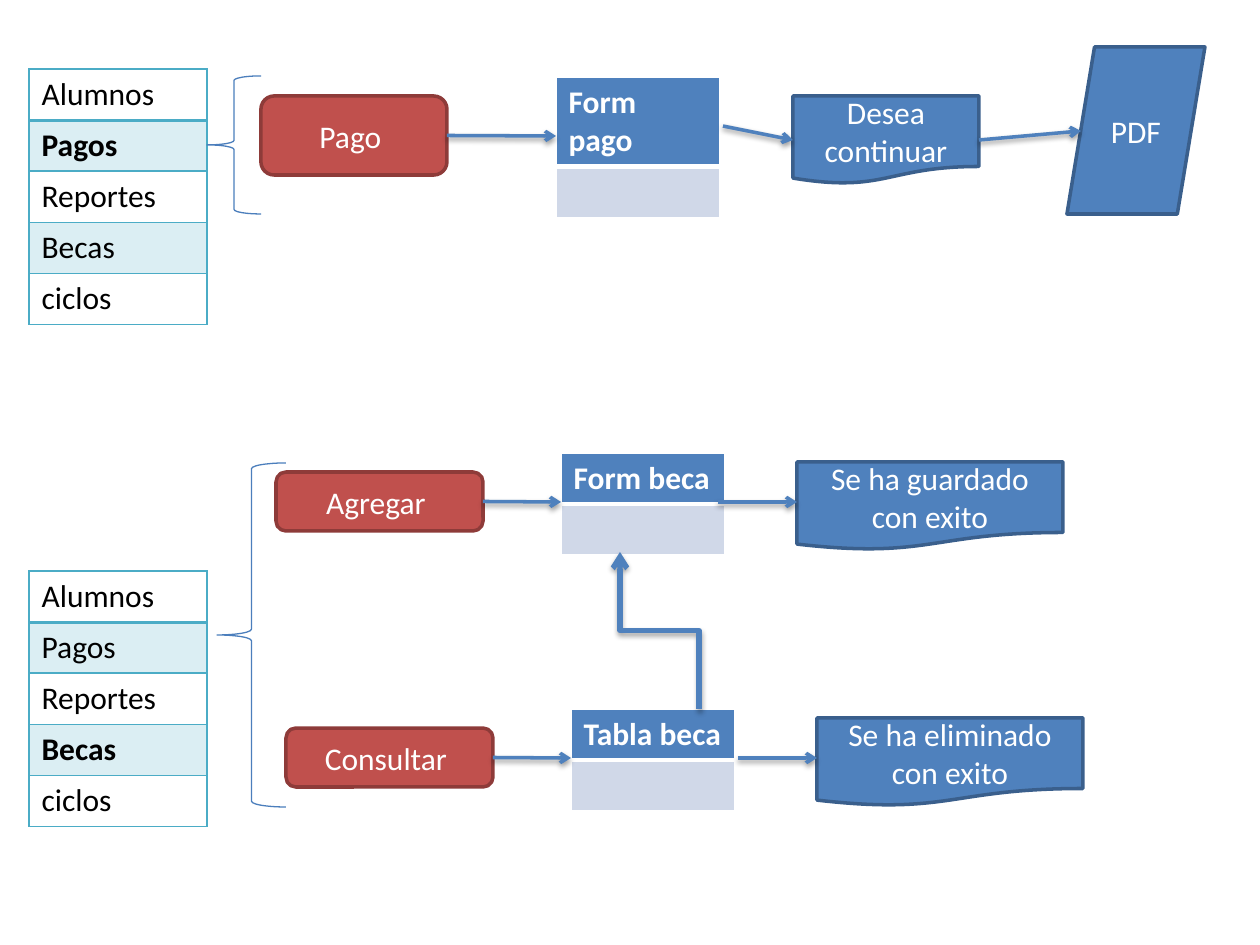
from lxml.etree import SubElement
from pptx import Presentation
from pptx.dml.color import RGBColor
from pptx.enum.shapes import MSO_CONNECTOR, MSO_SHAPE
from pptx.enum.text import MSO_ANCHOR, PP_ALIGN
from pptx.oxml.ns import qn
from pptx.util import Pt

SCALE = 914400 / 126
FONT = "Calibri"
BLACK = RGBColor(0x00, 0x00, 0x00)
WHITE = RGBColor(0xFF, 0xFF, 0xFF)
BLUE = RGBColor(0x4F, 0x81, 0xBD)
DARK_BLUE = RGBColor(0x3A, 0x5F, 0x8C)
BRACE_BLUE = RGBColor(0x4B, 0x7E, 0xBC)
PALE_BLUE = RGBColor(0xD0, 0xD8, 0xE8)
TEAL = RGBColor(0x4B, 0xAC, 0xC6)
RED = RGBColor(0xC0, 0x50, 0x4D)
DARK_RED = RGBColor(0x8E, 0x3B, 0x39)
MENU = ["Alumnos", "Pagos", "Reportes", "Becas", "ciclos"]


def px(value):
    return round(value * SCALE)


def write(frame, text, color=WHITE, bold=False, align=PP_ALIGN.LEFT):
    para = frame.paragraphs[0]
    para.alignment = align
    para.font.size = Pt(18)
    if text:
        span = para.add_run()
        span.text = text
        span.font.name = FONT
        span.font.size = Pt(18)
        span.font.bold = bold
        span.font.color.rgb = color


def set_borders(cell, color, width=1, bottom=1):
    properties = cell._tc.get_or_add_tcPr()
    for side in "LRTB":
        points = bottom if side == "B" else width
        line = SubElement(properties, qn(f"a:ln{side}"), w=str(Pt(points)))
        fill = SubElement(line, qn("a:solidFill"))
        SubElement(fill, qn("a:srgbClr"), val=str(color))


def set_fill(cell, color, opacity=100):
    cell.fill.solid()
    cell.fill.fore_color.rgb = color
    if opacity < 100:
        tint = cell._tc.tcPr.find(".//" + qn("a:solidFill") + "[last()]/" + qn("a:srgbClr"))
        for fill in cell._tc.tcPr.findall(qn("a:solidFill")):
            tint = fill.find(qn("a:srgbClr"))
        SubElement(tint, qn("a:alpha"), val=str(opacity * 1000))


class Diagram:
    def __init__(self, page):
        self.page = page

    def box(self, kind, text, left, top, width, height, fill=BLUE, edge=DARK_BLUE):
        box = self.page.shapes.add_shape(kind, px(left), px(top), px(width), px(height))
        box.shadow.inherit = False
        box.fill.solid()
        box.fill.fore_color.rgb = fill
        box.line.color.rgb = edge
        box.line.width = Pt(2)
        box.text_frame.word_wrap = True
        box.text_frame.vertical_anchor = MSO_ANCHOR.MIDDLE
        write(box.text_frame, text, align=PP_ALIGN.CENTER)
        return box

    def action(self, text, left, top, width, height):
        return self.box(MSO_SHAPE.ROUNDED_RECTANGLE, text, left, top, width, height, RED, DARK_RED)

    def message(self, text, left, top, width):
        return self.box(MSO_SHAPE.FLOWCHART_DOCUMENT, text, left, top, width, 88)

    def brace(self, left, top, width, height):
        brace = self.page.shapes.add_shape(
            MSO_SHAPE.LEFT_BRACE, px(left), px(top), px(width), px(height))
        brace.shadow.inherit = False
        brace.fill.background()
        brace.line.color.rgb = BRACE_BLUE
        brace.line.width = Pt(0.75)

    def table(self, left, top, width, row_height, rows):
        frame = self.page.shapes.add_table(
            rows, 1, px(left), px(top), px(width), px(row_height * rows))
        frame.table.first_row = False
        frame.table.horz_banding = False
        for row in frame.table.rows:
            row.height = px(row_height)
        return [row.cells[0] for row in frame.table.rows]

    def menu(self, top, selected):
        cells = self.table(29, top, 178, 51, len(MENU))
        for index, (cell, text) in enumerate(zip(cells, MENU)):
            set_borders(cell, TEAL, bottom=2 if index == 0 else 1)
            if index % 2:
                set_fill(cell, TEAL, opacity=20)
            else:
                cell.fill.background()
            write(cell.text_frame, text, color=BLACK, bold=text == selected)

    def form(self, title, left, top):
        header, body = self.table(left, top, 164, 50, 2)
        set_borders(header, WHITE, bottom=3)
        set_fill(header, BLUE)
        write(header.text_frame, title, bold=True)
        set_borders(body, WHITE)
        set_fill(body, PALE_BLUE)
        write(body.text_frame, "")

    def arrow(self, start, end, source=None, target=None, kind=MSO_CONNECTOR.STRAIGHT,
              width=2, opacity=38, distance=1.6):
        arrow = self.page.shapes.add_connector(kind, *map(px, start + end))
        if source:
            arrow.begin_connect(source, 3)
        if target:
            arrow.end_connect(target, 1)
        arrow.line.color.rgb = BLUE
        arrow.line.width = Pt(width)
        SubElement(arrow.line._get_or_add_ln(), qn("a:tailEnd"), type="arrow")
        effects = SubElement(arrow._element.spPr, qn("a:effectLst"))
        shadow = SubElement(effects, qn("a:outerShdw"), blurRad=str(Pt(3.1)),
                            dist=str(Pt(distance)), dir="5400000", rotWithShape="0")
        shade = SubElement(shadow, qn("a:srgbClr"), val=str(BLACK))
        SubElement(shade, qn("a:alpha"), val=str(opacity * 1000))
        return arrow

    def rising_elbow(self, start, end):
        center_x, center_y = (start[0] + end[0]) / 2, (start[1] + end[1]) / 2
        half_run, half_rise = (start[1] - end[1]) / 2, (start[0] - end[0]) / 2
        elbow = self.arrow(
            (center_x - half_run, center_y + half_rise),
            (center_x + half_run, center_y - half_rise),
            kind=MSO_CONNECTOR.ELBOW, width=3, opacity=35, distance=1.8)
        elbow._element.spPr.find(qn("a:xfrm")).set("rot", str(270 * 60000))


def main():
    deck = Presentation()
    deck.slide_width, deck.slide_height = px(1260), px(945)
    diagram = Diagram(deck.slides.add_slide(deck.slide_layouts[6]))

    diagram.menu(69, "Pagos")
    diagram.brace(207, 76, 54, 138)
    payment = diagram.action("Pago ", 261, 96, 186, 79)
    diagram.form("Form pago", 556, 77)
    question = diagram.message("Desea continuar", 793, 96, 186)
    diagram.box(MSO_SHAPE.FLOWCHART_DATA, "PDF", 1067, 47, 138, 167)
    diagram.arrow((447, 136), (556, 136), source=payment)
    diagram.arrow((723, 126), (793, 140), target=question)
    diagram.arrow((979, 140), (1081, 131), source=question)

    diagram.menu(571, "Becas")
    diagram.brace(217, 463, 69, 344)
    add = diagram.action("Agregar ", 276, 472, 207, 59)
    consult = diagram.action("Consultar ", 286, 728, 207, 59)
    diagram.form("Form beca", 561, 453)
    diagram.form("Tabla beca", 571, 709)
    diagram.rising_elbow((699, 709), (620, 552))
    diagram.arrow((483, 502), (561, 502), source=add)
    diagram.arrow((493, 758), (571, 758), source=consult)
    diagram.message("Se ha guardado con exito", 797, 462, 266)
    diagram.message("Se ha eliminado con exito", 817, 718, 266)
    diagram.arrow((718, 502), (797, 502))
    diagram.arrow((738, 758), (817, 758))

    deck.save("out.pptx")


if __name__ == "__main__":
    main()
